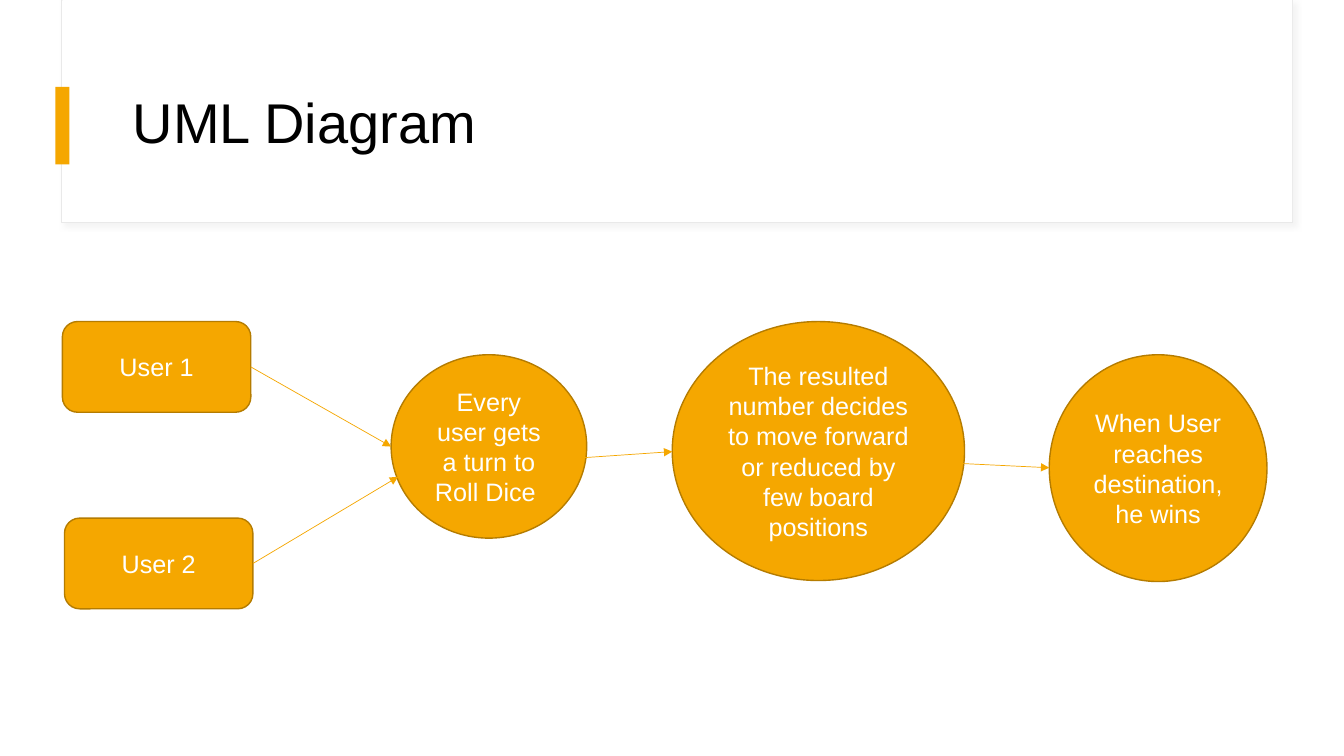
import pptx
import pptx.util
import pptx.dml.color
import pptx.enum.shapes
import pptx.enum.text
import pptx.oxml
import pptx.oxml.ns

Pt = pptx.util.Pt
SHAPES = pptx.enum.shapes.MSO_SHAPE
ALIGN = pptx.enum.text.PP_ALIGN
ANCHOR = pptx.enum.text.MSO_ANCHOR

# Content: lengths in points, boxes as left, top, width, height
TITLE = "UML Diagram"
FONT = "Arial"
ORANGE, DARK_ORANGE, WHITE, BLACK, GREY = "F5A700", "B57C00", "FFFFFF", "000000", "E9E9E9"

NODES = {
    "user 1": (SHAPES.ROUNDED_RECTANGLE, (44.6, 229.7, 134.6, 64.8), "User 1"),
    "user 2": (SHAPES.ROUNDED_RECTANGLE, (46.1, 370.1, 134.6, 64.8), "User 2"),
    "move": (SHAPES.OVAL, (480.2, 229.7, 208.8, 185),
             "The resulted number decides to move forward or reduced by few board positions"),
    "win": (SHAPES.OVAL, (749.5, 253.4, 155.5, 162), "When User reaches destination, he wins"),
    "roll": (SHAPES.OVAL, (279.4, 253.4, 139.7, 131), "Every user gets a turn to Roll Dice "),
}

# Start point, end point, node whose right side the arrow is joined to
ARROWS = [
    ((179.2, 262.1), (279.4, 319), "user 1"),
    ((180.7, 402.5), (284.4, 340.6), "user 2"),
    ((406.8, 327.6), (480.2, 322.6), None),
    ((614.9, 327.6), (749.5, 334.1), None),
]
RIGHT_SIDE = 3

presentation = pptx.Presentation()
presentation.slide_width, presentation.slide_height = Pt(960), Pt(540)
slide = presentation.slides.add_slide(presentation.slide_layouts[6])


def color(hex_string):
    return pptx.dml.color.RGBColor.from_string(hex_string)


def add_xml(parent, xml):
    namespace = pptx.oxml.ns.nsdecls("a")
    parent.append(pptx.oxml.parse_xml(xml.replace(">", f" {namespace}>", 1)))


def add_box(kind, box, fill, line=None, width=1):
    shape = slide.shapes.add_shape(kind, *map(Pt, box))
    shape.shadow.inherit = False
    shape.fill.solid()
    shape.fill.fore_color.rgb = color(fill)
    if line:
        shape.line.color.rgb = color(line)
        shape.line.width = Pt(width)
    else:
        shape.line.fill.background()
    return shape


def set_text(shape, text, size, font_color, alignment):
    frame = shape.text_frame
    frame.text = text
    frame.word_wrap = True
    frame.vertical_anchor = ANCHOR.MIDDLE
    paragraph = frame.paragraphs[0]
    paragraph.alignment = alignment
    font = paragraph.runs[0].font
    font.name, font.size = FONT, Pt(size)
    font.color.rgb = color(font_color)
    return paragraph


# Title panel with a soft shadow and an accent bar
panel = add_box(SHAPES.RECTANGLE, (44, 0, 879, 159), WHITE, GREY, 0.75)
effects = panel._element.spPr.find(pptx.oxml.ns.qn("a:effectLst"))
add_xml(effects, '<a:outerShdw blurRad="50800" dist="38100" dir="2700000" algn="tl">'
                 '<a:srgbClr val="D9D9D9"><a:alpha val="30000"/></a:srgbClr></a:outerShdw>')
add_box(SHAPES.RECTANGLE, (44.6, 0, 878.4, 158.4), WHITE)
add_box(SHAPES.RECTANGLE, (39.6, 62, 10, 55.5), ORANGE)

title = slide.shapes.add_textbox(Pt(87.8), Pt(43.2), Pt(800.6), Pt(92.9))
set_text(title, TITLE, 40, BLACK, ALIGN.LEFT).line_spacing = 0.9

# Diagram nodes
nodes = {}
for name, (kind, box, text) in NODES.items():
    nodes[name] = add_box(kind, box, ORANGE, DARK_ORANGE)
    set_text(nodes[name], text, 18, WHITE, ALIGN.CENTER)

# Arrows between the nodes
for start, end, source in ARROWS:
    arrow = slide.shapes.add_connector(
        pptx.enum.shapes.MSO_CONNECTOR.STRAIGHT, *map(Pt, start + end))
    if source:
        arrow.begin_connect(nodes[source], RIGHT_SIDE)
    arrow.line.color.rgb = color(ORANGE)
    arrow.line.width = Pt(0.5)
    add_xml(arrow.line._get_or_add_ln(), '<a:tailEnd type="triangle"></a:tailEnd>')
    add_xml(arrow._element.spPr, "<a:effectLst></a:effectLst>")

presentation.save("out.pptx")
